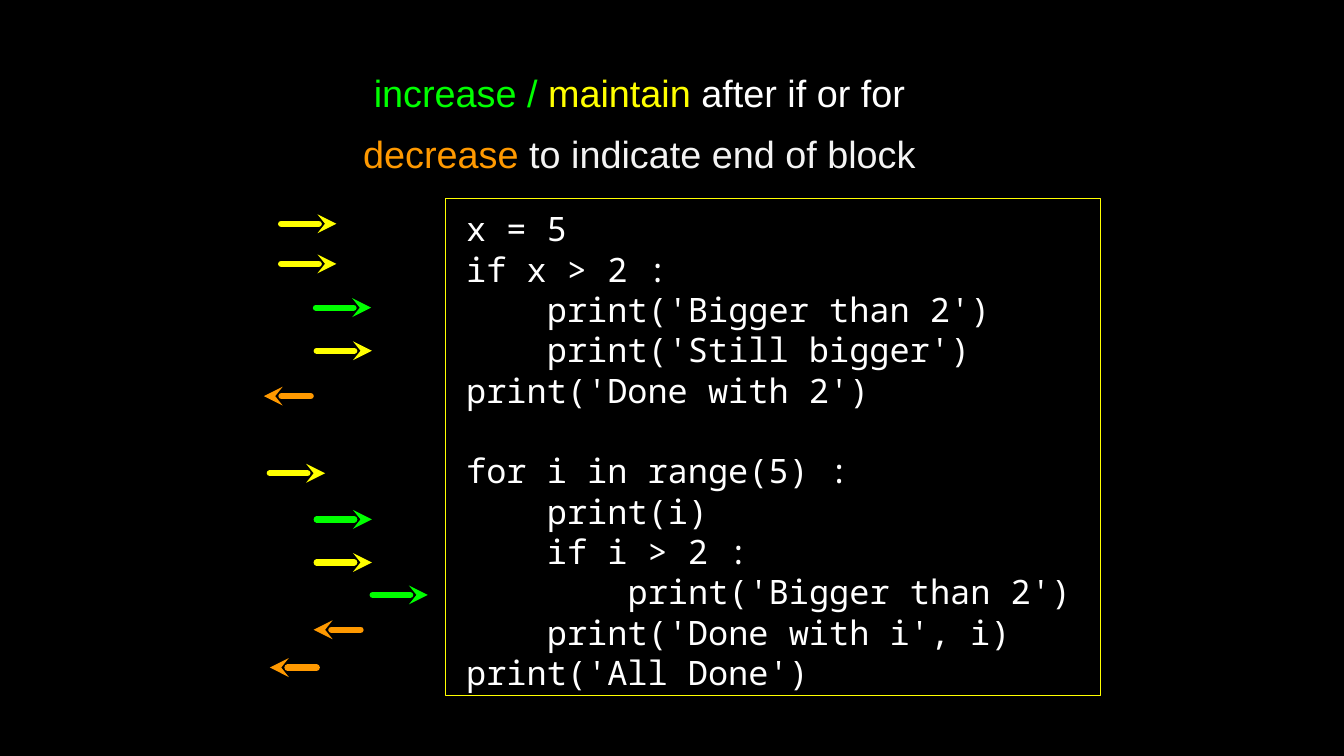
import dataclasses

import lxml.etree
import pptx
import pptx.dml.color
import pptx.enum.shapes
import pptx.enum.text
import pptx.oxml.ns
import pptx.util

Inches = pptx.util.Inches
Pt = pptx.util.Pt
qn = pptx.oxml.ns.qn

GREEN, YELLOW, ORANGE = "00FF00", "FFFF00", "FF9900"
WHITE, PALE, BLACK = "FFFFFF", "F3F3F3", "000000"
CHAR = 0.267  # width of one code character
STEP = 4      # characters per indent level
PITCH = 38.4  # code line height in points


@dataclasses.dataclass
class Arrow:
    tip: float
    y: float
    color: str


@dataclasses.dataclass
class Code:
    level: int
    text: str
    gap: float = 0


TITLE = [
    [("increase / ", GREEN), ("maintain ", YELLOW), ("after if or for", WHITE)],
    [("decrease ", ORANGE), ("to indicate end of block", PALE)],
]

LINES = [
    Code(0, "x = 5"),
    Code(0, "if x > 2 :"),
    Code(1, "print('Bigger than 2')"),
    Code(1, "print('Still bigger')"),
    Code(0, "print('Done with 2')"),
    Code(0, "for i in range(5) :", PITCH),
    Code(1, "print(i)"),
    Code(1, "if i > 2 :"),
    Code(2, "print('Bigger than 2')"),
    Code(1, "print('Done with i', i)"),
    Code(0, "print('All Done')"),
]

ARROWS = [
    Arrow(4.45, 2.96, YELLOW),
    Arrow(4.45, 3.49, YELLOW),
    Arrow(4.91, 4.07, GREEN),
    Arrow(4.92, 4.64, YELLOW),
    Arrow(3.49, 5.24, ORANGE),
    Arrow(4.3, 6.26, YELLOW),
    Arrow(4.92, 6.87, GREEN),
    Arrow(4.92, 7.44, YELLOW),
    Arrow(5.66, 7.87, GREEN),
    Arrow(4.15, 8.33, ORANGE),
    Arrow(3.57, 8.83, ORANGE),
]


def paint(form, color: str) -> None:
    """Give a fill, or a font's fill, one solid colour."""
    form.solid()
    form.fore_color.rgb = pptx.dml.color.RGBColor.from_string(color)


def place(shape, left: float, top: float, width: float, height: float) -> None:
    box = {"left": left, "top": top, "width": width, "height": height}
    for name, value in box.items():
        setattr(shape, name, Inches(value))


def set_frame(frame, top: float = 0, bottom: float = 0) -> None:
    look = {
        "margin_left": 0,
        "margin_right": 0,
        "margin_top": Inches(top),
        "margin_bottom": Inches(bottom),
        "word_wrap": True,
        "auto_size": pptx.enum.text.MSO_AUTO_SIZE.NONE,
        "vertical_anchor": pptx.enum.text.MSO_ANCHOR.MIDDLE,
    }
    for name, value in look.items():
        setattr(frame, name, value)


def add_run(para, text: str, face: str, size: float, color: str) -> None:
    run = para.add_run()
    run.text = text
    look = {"name": face, "size": Pt(size), "bold": False}
    for name, value in look.items():
        setattr(run.font, name, value)
    paint(run.font.fill, color)


def next_para(frame, index: int):
    return frame.add_paragraph() if index else frame.paragraphs[0]


def draw_title(shape) -> None:
    place(shape, 4.53, 1.05, 7.86, 1.37)
    frame = shape.text_frame
    set_frame(frame, bottom=0.22)
    for index, parts in enumerate(TITLE):
        para = next_para(frame, index)
        para.alignment = pptx.enum.text.PP_ALIGN.CENTER
        para.space_before = Pt(15.7 if index else 0)
        for text, color in parts:
            add_run(para, text, "Arial", 36, color)


def draw_code(slide) -> None:
    box = slide.shapes.add_shape(
        pptx.enum.shapes.MSO_SHAPE.RECTANGLE, 0, 0, 0, 0)
    place(box, 5.9, 2.63, 8.66, 6.57)
    box.shadow.inherit = False
    box.fill.background()
    paint(box.line.fill, YELLOW)
    box.line.width = Pt(1)
    frame = box.text_frame
    set_frame(frame, top=0.08)
    for index, line in enumerate(LINES):
        para = next_para(frame, index)
        look = {
            "alignment": pptx.enum.text.PP_ALIGN.LEFT,
            "line_spacing": Pt(PITCH),
            "space_before": Pt(line.gap),
        }
        for name, value in look.items():
            setattr(para, name, value)
        left = Inches(CHAR * (1 + STEP * line.level))
        props = para._p.get_or_add_pPr()
        props.set("marL", str(int(left)))
        props.set("indent", "0")
        add_run(para, line.text, "Noto Sans Mono", 32, WHITE)


def draw_arrow(slide, arrow: Arrow) -> None:
    # Orange arrows point left and are shorter
    end = arrow.tip + (0.62 if arrow.color == ORANGE else -0.73)
    link = slide.shapes.add_connector(
        pptx.enum.shapes.MSO_CONNECTOR.STRAIGHT,
        Inches(arrow.tip), Inches(arrow.y), Inches(end), Inches(arrow.y))
    paint(link.line.fill, arrow.color)
    link.line.width = Pt(6)
    stroke = link.line._get_or_add_ln()
    stroke.set("cap", "rnd")
    lxml.etree.SubElement(stroke, qn("a:round"))
    lxml.etree.SubElement(stroke, qn("a:headEnd"), type="stealth")
    lxml.etree.SubElement(link._element.spPr, qn("a:effectLst"))


def main() -> None:
    deck = pptx.Presentation()
    deck.slide_width = Inches(17.78)
    deck.slide_height = Inches(10)
    slide = deck.slides.add_slide(deck.slide_layouts[5])
    paint(slide.background.fill, BLACK)
    draw_title(slide.shapes.title)
    draw_code(slide)
    for arrow in ARROWS:
        draw_arrow(slide, arrow)
    deck.save("out.pptx")


if __name__ == "__main__":
    main()
